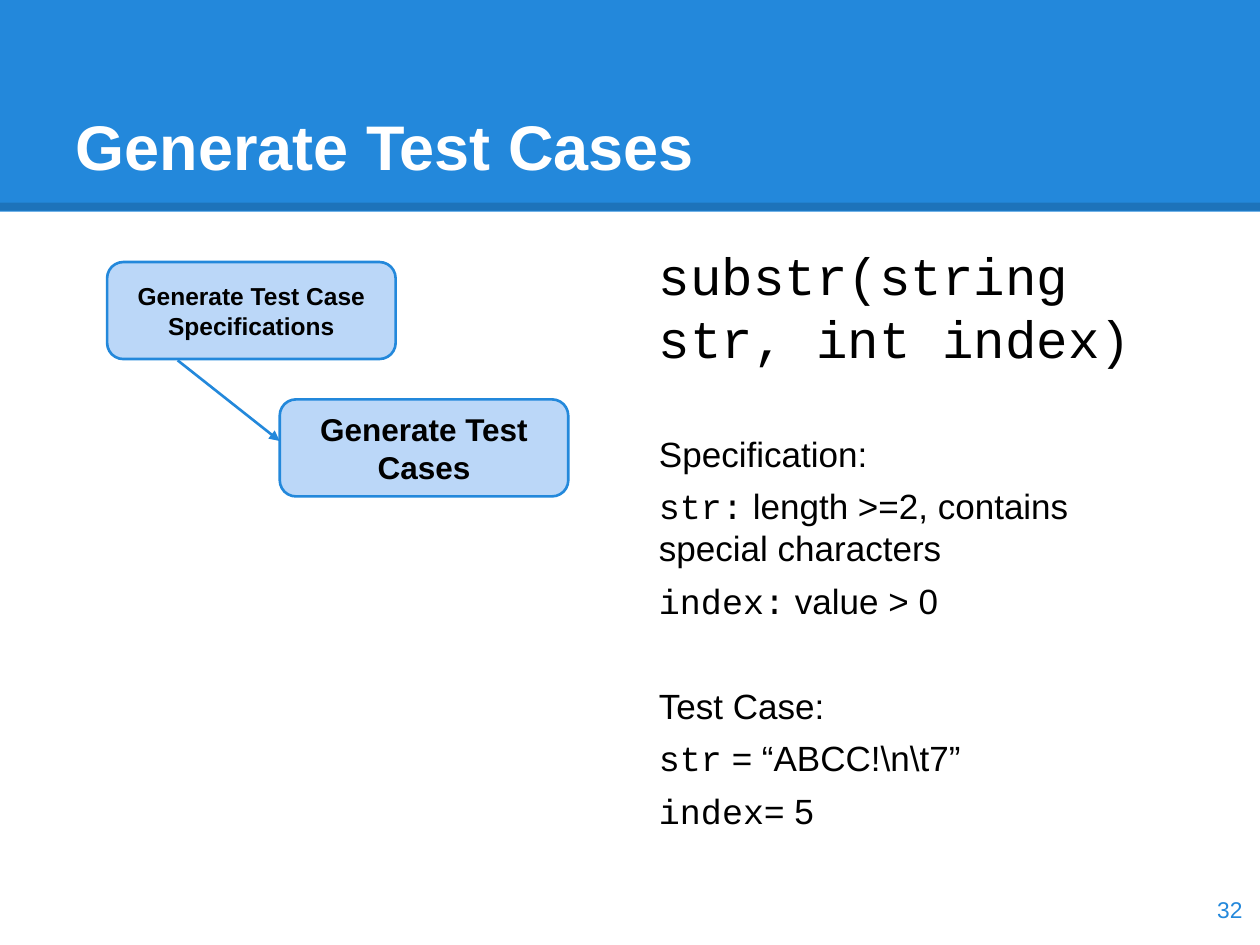
from typing import NamedTuple

from lxml.etree import SubElement
from pptx import Presentation
from pptx.dml.color import RGBColor
from pptx.enum.shapes import MSO_CONNECTOR, MSO_SHAPE
from pptx.enum.text import MSO_ANCHOR as Anchor, MSO_AUTO_SIZE, PP_ALIGN as Align
from pptx.oxml.ns import qn
from pptx.util import Inches, Pt

BLUE = RGBColor(0x23, 0x88, 0xDB)
PALE_BLUE = RGBColor(0xBB, 0xD7, 0xF8)
BLACK = RGBColor(0, 0, 0)
WHITE = RGBColor(0xFF, 0xFF, 0xFF)
SANS, MONO = "Arial", "Courier New"
STEP_WIDTH, STEP_HEIGHT = 2.29, 0.77
SPACE, BLOCK_SPACE = 6, 36


class Step(NamedTuple):
    text: str
    left: float
    top: float
    size: int


class Line(NamedTuple):
    """One paragraph: a monospaced part, then a plain part."""
    code: str
    plain: str
    size: int = 20
    before: int = SPACE


STEPS = [
    Step("Generate Test Case Specifications", 0.85, 2.08, 14),
    Step("Generate Test Cases", 2.22, 3.17, 18),
]
LINES = [
    Line("substr(string str, int index)", "", size=30, before=0),
    Line("", "Specification:", before=BLOCK_SPACE),
    Line("str:", " length >=2, contains special characters"),
    Line("index:", " value > 0"),
    Line("", "Test Case:", before=BLOCK_SPACE),
    Line("str", " = “ABCC!\\n\\t7”"),
    Line("index", "= 5"),
]


def place(shape, left: float, top: float, width: float, height: float) -> None:
    shape.left, shape.top = Inches(left), Inches(top)
    shape.width, shape.height = Inches(width), Inches(height)


def prepare_frame(frame, anchor: Anchor, top_inset: float = 0.1) -> None:
    frame.word_wrap = True
    frame.auto_size = MSO_AUTO_SIZE.NONE
    frame.vertical_anchor = anchor
    frame.margin_left = frame.margin_right = frame.margin_bottom = Inches(0.1)
    frame.margin_top = Inches(top_inset)


def write(frame, text: str, size: int, color: RGBColor, align: Align,
          anchor: Anchor, bold: bool = False) -> None:
    prepare_frame(frame, anchor)
    para = frame.paragraphs[0]
    para.text, para.alignment = text, align
    font = para.font
    font.name, font.size, font.bold = SANS, Pt(size), bold
    font.color.rgb = color


def add_line(page, start: tuple, end: tuple, color: RGBColor, width: float):
    """Add a straight line without shadow; return it and its a:ln element."""
    line = page.shapes.add_connector(
        MSO_CONNECTOR.STRAIGHT, *(Inches(value) for value in start + end))
    line.line.color.rgb = color
    line.line.width = Pt(width)
    properties = line._element.spPr
    SubElement(properties, qn("a:effectLst"))
    return line, properties.find(qn("a:ln"))


def add_header(page) -> None:
    """Draw the title band and its darker edge behind everything else."""
    band = page.shapes.add_shape(
        MSO_SHAPE.RECTANGLE, 0, 0, Inches(10), Inches(1.68))
    band.shadow.inherit = False
    band.fill.solid()
    band.fill.fore_color.rgb = BLUE
    band.line.fill.background()
    edge, outline = add_line(page, (0, 1.64), (10, 1.64), BLACK, 4.5)
    SubElement(outline.find(".//" + qn("a:srgbClr")), qn("a:alpha"), val="15000")
    tree = page.shapes._spTree
    for index, shape in enumerate((band, edge), start=2):
        tree.insert(index, shape._element)


def add_step(page, step: Step) -> None:
    box = page.shapes.add_shape(MSO_SHAPE.ROUNDED_RECTANGLE, 0, 0, 0, 0)
    place(box, step.left, step.top, STEP_WIDTH, STEP_HEIGHT)
    box.shadow.inherit = False
    box.fill.solid()
    box.fill.fore_color.rgb = PALE_BLUE
    box.line.color.rgb = BLUE
    box.line.width = Pt(1.5)
    write(box.text_frame, step.text, step.size, BLACK, Align.CENTER,
          Anchor.MIDDLE, bold=True)


def fill_body(frame, lines: list[Line]) -> None:
    prepare_frame(frame, Anchor.TOP, top_inset=0.18)
    for index, line in enumerate(lines):
        para = frame.add_paragraph() if index else frame.paragraphs[0]
        properties = para._p.get_or_add_pPr()
        properties.set("marL", "0")
        properties.set("indent", "0")
        SubElement(properties, qn("a:buNone"))
        para.space_before = Pt(line.before)
        para.font.size = Pt(line.size)
        para.font.color.rgb = BLACK
        for text, font_name in ((line.code, MONO), (line.plain, SANS)):
            if text:
                span = para.add_run()
                span.text, span.font.name = text, font_name


def main() -> None:
    deck = Presentation()
    deck.slide_width, deck.slide_height = Inches(10), Inches(7.5)
    page = deck.slides.add_slide(deck.slide_layouts[1])
    title, body = page.placeholders

    add_header(page)
    place(title, 0.5, 0.3, 9, 1.25)
    write(title.text_frame, "Generate Test Cases", 36, WHITE, Align.LEFT,
          Anchor.BOTTOM, bold=True)

    for step in STEPS:
        add_step(page, step)
    _, outline = add_line(page, (1.41, 2.86), (2.22, 3.5), BLUE, 1.5)
    SubElement(outline, qn("a:tailEnd"), type="triangle")

    place(body, 5.13, 1.75, 4.37, 5.43)
    fill_body(body.text_frame, LINES)

    number = page.shapes.add_textbox(0, 0, 0, 0)
    place(number, 9.36, 6.93, 0.6, 0.57)
    write(number.text_frame, "32", 13, BLUE, Align.RIGHT, Anchor.MIDDLE)
    deck.save("out.pptx")


if __name__ == "__main__":
    main()
